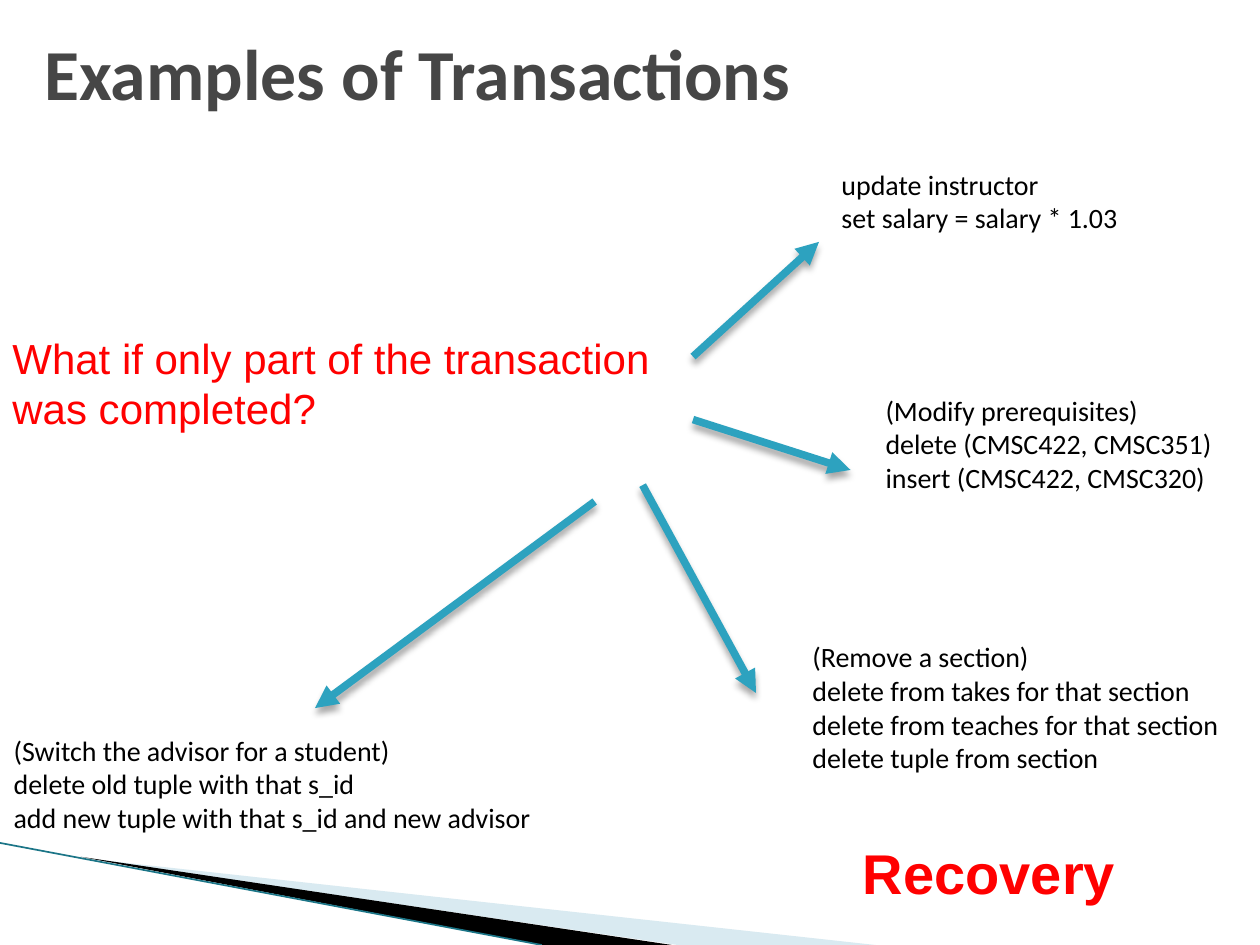
from lxml import etree
from pptx import Presentation
from pptx.dml.color import RGBColor
from pptx.enum.shapes import MSO_CONNECTOR
from pptx.enum.text import MSO_ANCHOR, MSO_AUTO_SIZE, PP_ALIGN
from pptx.oxml import parse_xml
from pptx.oxml.ns import nsdecls, qn
from pptx.util import Inches, Pt

COLORS = {
    "title": "464646", "text": "000000", "accent": "FF0000", "arrow": "2DA2BF",
    "pale": "A0CBDC", "dark": "000000", "edge": "1B7587",
}

TITLE = "Examples of Transactions"

# position and size, lines
EXAMPLES = [
    ((0.01, 5.77, 4.35, 0.91), ["(Switch the advisor for a student)",
                                "delete old tuple with that s_id",
                                "add new tuple with that s_id and new advisor"]),
    ((6.93, 3.07, 2.82, 0.91), ["(Modify prerequisites)",
                                "delete (CMSC422, CMSC351)",
                                "insert (CMSC422, CMSC320)"]),
    ((6.35, 5.03, 3.47, 1.18), ["(Remove a section)",
                                "delete from takes for that section",
                                "delete from teaches for that section",
                                "delete tuple from section"]),
    ((6.58, 1.28, 2.42, 0.64), ["update instructor", "set salary = salary * 1.03"]),
]
QUESTION = ((0, 2.59, 5.31, 0.91),
            ["What if only part of the transaction", "was completed?"])
ANSWER = ((6.75, 6.61, 2.22, 0.64), ["Recovery"])

# start, end
ARROWS = [
    ((5.5, 2.83), (6.5, 1.92)),
    ((5.5, 3.33), (6.75, 3.73)),
    ((5.1, 3.85), (6, 5.5)),
    ((4.72, 3.98), (2.5, 5.62)),
]

# fill, opacity in percent, corners
WEDGES = [
    ("pale", 40, [(0.65, 6.81), (6.95, 7.5), (5.38, 7.5)]),
    ("dark", 100, [(0.64, 6.8), (5.33, 7.5), (4.3, 7.5)]),
]
EDGE = ((0, 6.69), (4.3, 7.5))


def rgb(name):
    return RGBColor.from_string(COLORS[name])


def style_font(font, name, size, color, bold=False):
    font.name, font.size, font.bold = name, Pt(size), bold
    font.color.rgb = rgb(color)


def add_wedge(slide, color, opacity, corners):
    points = [(Inches(x), Inches(y)) for x, y in corners]
    builder = slide.shapes.build_freeform(*points[0])
    builder.add_line_segments(points[1:])
    sp = builder.convert_to_shape()
    sp.shadow.inherit = False
    sp.fill.solid()
    sp.fill.fore_color.rgb = rgb(color)
    sp.line.fill.background()
    if opacity < 100:
        clr = sp.fill._xPr.find(qn("a:solidFill"))[0]
        etree.SubElement(clr, qn("a:alpha"), val=str(opacity * 1000))


def add_line(slide, start, end, color, width):
    line = slide.shapes.add_connector(
        MSO_CONNECTOR.STRAIGHT, *(Inches(v) for v in start + end))
    line.line.color.rgb = rgb(color)
    line.line.width = Pt(width)
    effects = etree.SubElement(line._element.spPr, qn("a:effectLst"))
    return line, effects


def add_arrow(slide, start, end):
    """Draw a thick line with a triangle head and a soft shadow below."""
    line, effects = add_line(slide, start, end, "arrow", 4.33)
    etree.SubElement(line.line._get_or_add_ln(), qn("a:tailEnd"), type="triangle")
    effects.append(parse_xml(
        f'<a:outerShdw {nsdecls("a")} blurRad="{Pt(4)}" dist="{Pt(3)}" dir="5400000" '
        'rotWithShape="0"><a:srgbClr val="000000"><a:alpha val="35000"/></a:srgbClr>'
        '</a:outerShdw>'))


def add_text(slide, box, lines, *font):
    tf = slide.shapes.add_textbox(*(Inches(v) for v in box)).text_frame
    tf.word_wrap = False
    tf.auto_size = MSO_AUTO_SIZE.SHAPE_TO_FIT_TEXT
    tf.text = "\n".join(lines)
    for p in tf.paragraphs:
        p.alignment = PP_ALIGN.LEFT
        style_font(p.font, *font)


def add_title(slide):
    title = slide.shapes.title
    title.left, title.top = Inches(0.25), Inches(0.17)
    title.width, title.height = Inches(9.25), Inches(0.8)
    tf = title.text_frame
    tf.text = TITLE
    tf.vertical_anchor = MSO_ANCHOR.MIDDLE
    tf.auto_size = MSO_AUTO_SIZE.NONE
    p = tf.paragraphs[0]
    p.alignment = PP_ALIGN.LEFT
    style_font(p.font, "Calibri", 41, "title", True)


def main():
    prs = Presentation()
    prs.slide_width, prs.slide_height = Inches(10), Inches(7.5)
    slide = prs.slides.add_slide(prs.slide_layouts[5])

    for wedge in WEDGES:
        add_wedge(slide, *wedge)
    add_line(slide, *EDGE, "edge", 0.95)
    add_title(slide)
    for box, lines in EXAMPLES:
        add_text(slide, box, lines, "Calibri", 16, "text")
    add_text(slide, *QUESTION, "Arial", 24, "accent")
    for start, end in ARROWS:
        add_arrow(slide, start, end)
    add_text(slide, *ANSWER, "Arial", 32, "accent", True)

    prs.save("out.pptx")


if __name__ == "__main__":
    main()
